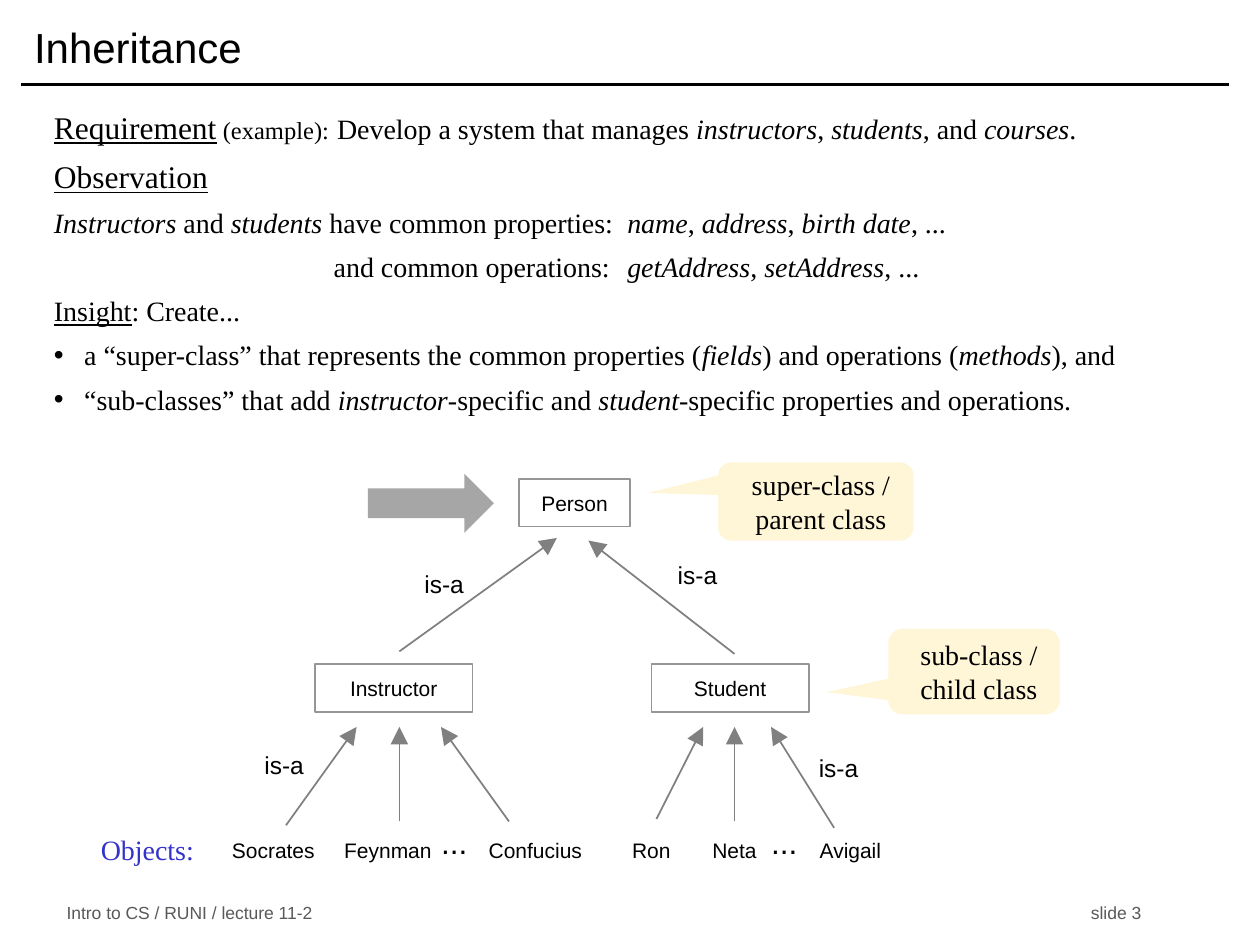
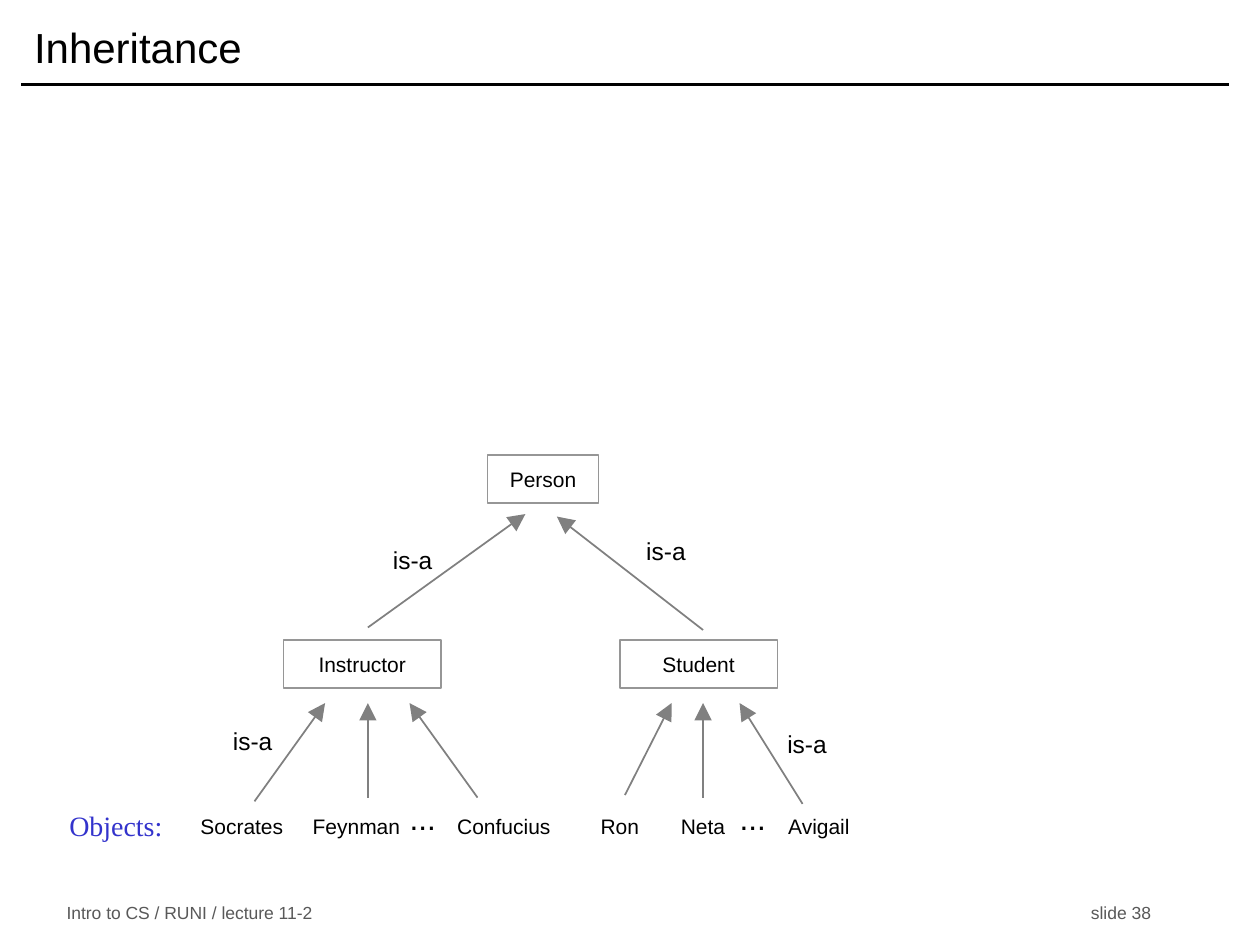
from lxml import etree
from pptx import Presentation
from pptx import util as u
from pptx.dml.color import RGBColor
from pptx.enum import shapes, text
from pptx.oxml.ns import qn

# ---- Content ----
TITLE = "Inheritance"
FOOTER = "Intro to CS / RUNI / lecture 11-2"
SANS, SERIF = "Arial", "Times New Roman"
COLORS = {"ink": "000000", "footer": "595959", "box": "969696", "arrow": "808080",
          "callout": "FFF5D7", "pointer": "A6A6A6", "objects": "3333CC"}

# Each slide: its number, the shift of the class tree, whether it explains the tree
SLIDES = [
    {"number": 3, "shift": (0, 0), "explained": True},
    {"number": 38, "shift": (-0.25, -0.19), "explained": False},
]

# Paragraphs are (kind, [(text, size), ...]); *italic* and _underlined_
REQUIREMENT = [
    ("plain", [("_Requirement_", 18), (" (example):", 14), (" ", 18),
               ("Develop a system that manages *instructors*, *students*, and *courses*.", 16)]),
]
OBSERVATION = [
    ("plain", [("_Observation_", 18)]),
    ("names", [("*Instructors* and *students* have common properties:\t"
                "*name*, *address*, *birth date*, ...", 16)]),
    ("operations", [("\tand common operations:\t*getAddress*, *setAddress*, ...", 16)]),
    ("plain", [("_Insight_: Create...", 16)]),
    ("bullet", [("a “super-class” that represents the common properties (*fields*) "
                 "and operations (*methods*), and", 16)]),
    ("bullet", [("“sub-classes” that add *instructor*-specific and "
                 "*student*-specific properties and operations.", 16)]),
]
TAB_STOPS = {"names": [4.55], "operations": [2.22, 4.55]}

# Callouts: left, top, width, height, tip (x, y), paragraphs
CALLOUTS = [
    (5.7, 3.67, 1.55, 0.62, (-0.86, -0.11), ["super-class / parent class"]),
    (7.05, 4.99, 1.36, 0.68, (-0.86, 0.24), ["sub-class /", "child class"]),
]

# Tree: objects are (name, centre, arrow start (x, y), arrow tip x)
ROWS = {"parent": 3.8, "child": 5.27, "object": 6.57, "dots": 6.49, "tip": 5.77}
BOX_HEIGHT, OBJECT_SIZE, LABEL_SIZE = 0.38, (1, 0.36), (0.79, 0.38)
PARENT = {"name": "Person", "left": 4.12, "width": 0.88}
CHILD_WIDTH = 1.25
CHILDREN = [
    {"name": "Instructor", "left": 2.5, "is_a": [(3.13, 4.44), (1.86, 5.88)],
     "arrow": ((3.17, 5.17), (4.42, 4.27)), "dots": 3.21,
     "objects": [("Socrates", 2.17, (2.27, 6.55), 2.83),
                 ("Feynman", 3.08, (3.17, 6.52), 3.17),
                 ("Confucius", 4.25, (4.04, 6.52), 3.5)]},
    {"name": "Student", "left": 5.17, "is_a": [(5.14, 4.37), (6.26, 5.9)],
     "arrow": ((5.83, 5.19), (4.67, 4.29)), "dots": 5.83,
     "objects": [("Ron", 5.17, (5.21, 6.5), 5.58),
                 ("Neta", 5.83, (5.83, 6.52), 5.83),
                 ("Avigail", 6.75, (6.62, 6.57), 6.12)]},
]


# ---- Helpers ----
def color(name):
    return RGBColor.from_string(COLORS[name])


def inches(*lengths):
    return [u.Inches(length) for length in lengths]


def style(paragraph, size, font=SANS, ink="ink"):
    if size:
        paragraph.font.size = u.Pt(size)
    paragraph.font.name = font
    paragraph.font.color.rgb = color(ink)


def set_frame(frame, insets=(0.1, 0.05, 0.1, 0.05), wrap=True, middle=True):
    frame.word_wrap = wrap
    frame.auto_size = text.MSO_AUTO_SIZE.NONE
    frame.vertical_anchor = text.MSO_ANCHOR.MIDDLE if middle else text.MSO_ANCHOR.TOP
    (frame.margin_left, frame.margin_top,
     frame.margin_right, frame.margin_bottom) = inches(*insets)


def add_tabs(paragraph, stops):
    tab_list = etree.SubElement(paragraph._p.get_or_add_pPr(), qn("a:tabLst"))
    for stop in stops:
        etree.SubElement(tab_list, qn("a:tab"), pos=str(u.Inches(stop)), algn="l")


def add_bullet(paragraph):
    properties = paragraph._p.get_or_add_pPr()
    properties.set("marL", str(u.Inches(0.24)))
    properties.set("indent", str(-u.Inches(0.24)))
    etree.SubElement(properties, qn("a:buFont"), typeface=SANS)
    etree.SubElement(properties, qn("a:buChar"), char="•")


def add_line(slide, start, end, ink, width, arrow=False):
    line = slide.shapes.add_connector(shapes.MSO_CONNECTOR.STRAIGHT, *inches(*start, *end))
    line.line.color.rgb = color(ink)
    line.line.width = u.Pt(width)
    if arrow:
        etree.SubElement(line.line._get_or_add_ln(), qn("a:tailEnd"),
                         type="triangle", w="lg", len="lg")
    etree.SubElement(line._element.spPr, qn("a:effectLst"))


def add_preset(slide, kind, place, fill=None, outline=None):
    shape = slide.shapes.add_shape(kind, *inches(*place))
    shape.shadow.inherit = False
    for part, ink in ((shape.fill, fill), (shape.line.fill, outline)):
        if ink:
            part.solid()
            part.fore_color.rgb = color(ink)
        else:
            part.background()
    if outline:
        shape.line.width = u.Pt(1)
    return shape


def write_centred(shape, lines, size, font=SANS, ink="ink", insets=(0, 0, 0, 0), wrap=True):
    frame = shape.text_frame
    set_frame(frame, insets, wrap)
    frame.text = "\n".join(lines)
    for paragraph in frame.paragraphs:
        paragraph.alignment = text.PP_ALIGN.CENTER
        style(paragraph, size, font, ink)


def add_label(slide, place, label, size, font=SANS, ink="ink"):
    write_centred(slide.shapes.add_textbox(*inches(*place)), [label], size, font, ink)


def add_marked_runs(paragraph, marked, size):
    for i, outer in enumerate(marked.split("_")):
        for j, piece in enumerate(outer.split("*")):
            if piece:
                run = paragraph.add_run()
                run.text = piece
                run.font.size = u.Pt(size)
                if i % 2:
                    run.font.underline = True
                if j % 2:
                    run.font.italic = True


def add_body(slide, place, paragraphs, line_spacing=None):
    frame = slide.shapes.add_textbox(*inches(*place)).text_frame
    set_frame(frame, middle=False)
    for index, (kind, runs) in enumerate(paragraphs):
        paragraph = frame.add_paragraph() if index else frame.paragraphs[0]
        if kind == "bullet":
            add_bullet(paragraph)
        if kind in TAB_STOPS:
            add_tabs(paragraph, TAB_STOPS[kind])
        if index:
            paragraph.space_before = u.Pt(6)
        if line_spacing:
            paragraph.line_spacing = u.Pt(line_spacing)
        style(paragraph, None, SERIF)
        for marked, size in runs:
            add_marked_runs(paragraph, marked, size)


# ---- Slide parts ----
def add_base(presentation, number):
    slide = presentation.slides.add_slide(presentation.slide_layouts[5])
    title = slide.shapes.title
    title.left, title.top, title.width, title.height = inches(0.17, 0.08, 9.58, 0.58)
    set_frame(title.text_frame)
    title.text_frame.text = TITLE
    heading = title.text_frame.paragraphs[0]
    heading.alignment = text.PP_ALIGN.LEFT
    style(heading, 24)
    add_line(slide, (0.17, 0.67), (9.75, 0.67), "ink", 2)

    footer = slide.shapes.add_textbox(*inches(0.43, 7.14, 9.2, 0.21)).text_frame
    set_frame(footer)
    paragraph = footer.paragraphs[0]
    paragraph.text = f"{FOOTER}\tslide {number}"
    add_tabs(paragraph, [8.13])
    style(paragraph, 10, ink="footer")
    return slide


def add_tree(slide, shift):
    dx, dy = shift

    def moved(x, y):
        return x + dx, y + dy

    def add_class(name, left, top, width):
        place = (*moved(left, top), width, BOX_HEIGHT)
        box = add_preset(slide, shapes.MSO_SHAPE.RECTANGLE, place, outline="box")
        write_centred(box, [name], 12)

    def add_arrow(start, tip):
        add_line(slide, moved(*start), moved(*tip), "arrow", 1, arrow=True)

    add_class(PARENT["name"], PARENT["left"], ROWS["parent"], PARENT["width"])
    add_label(slide, (*moved(0.42, 6.55), 1.5, 0.38), "Objects:", 16, SERIF, "objects")
    for child in CHILDREN:
        add_class(child["name"], child["left"], ROWS["child"], CHILD_WIDTH)
        add_arrow(*child["arrow"])
        for corner in child["is_a"]:
            add_label(slide, (*moved(*corner), *LABEL_SIZE), "is-a", 14)
        add_label(slide, (*moved(child["dots"], ROWS["dots"]), *LABEL_SIZE), "...", 18)
        for name, centre, start, tip_x in child["objects"]:
            place = (*moved(centre - OBJECT_SIZE[0] / 2, ROWS["object"]), *OBJECT_SIZE)
            oval = add_preset(slide, shapes.MSO_SHAPE.OVAL, place)
            write_centred(oval, [name], 12, wrap=False)
            add_arrow(start, (tip_x, ROWS["tip"]))


def add_explanation(slide):
    add_body(slide, (0.33, 0.75, 8.75, 0.67), REQUIREMENT, line_spacing=25.6)
    add_body(slide, (0.33, 1.2, 9.58, 2.56), OBSERVATION)
    for *place, tip, lines in CALLOUTS:
        callout = add_preset(slide, shapes.MSO_SHAPE.ROUNDED_RECTANGULAR_CALLOUT,
                             place, fill="callout")
        callout.adjustments[0], callout.adjustments[1] = tip
        write_centred(callout, lines, 16, SERIF, insets=(0.08, 0.05, 0, 0.05))
    add_preset(slide, shapes.MSO_SHAPE.RIGHT_ARROW, (2.92, 3.76, 1, 0.47), fill="pointer")


def main():
    presentation = Presentation()
    presentation.slide_width, presentation.slide_height = inches(10, 7.5)
    for page in SLIDES:
        slide = add_base(presentation, page["number"])
        if page["explained"]:
            add_explanation(slide)
        add_tree(slide, page["shift"])
    presentation.save("out.pptx")


if __name__ == "__main__":
    main()
